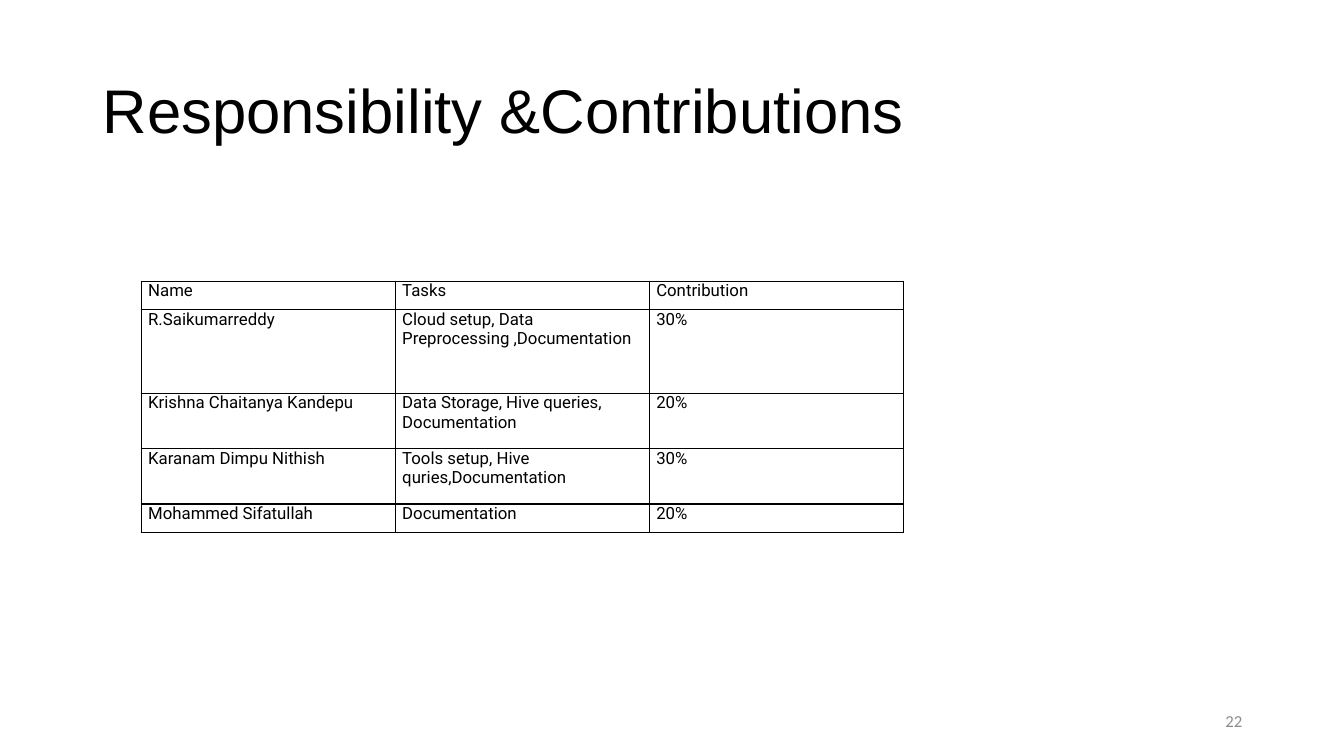
from dataclasses import dataclass

from lxml import etree
from pptx import Presentation
from pptx.dml.color import RGBColor
from pptx.enum.text import MSO_ANCHOR, PP_ALIGN
from pptx.oxml.ns import qn
from pptx.slide import Slide
from pptx.table import _Cell
from pptx.text.text import _Paragraph
from pptx.util import Inches, Pt

BLACK = RGBColor(0x00, 0x00, 0x00)
GRAY = RGBColor(0x8C, 0x8C, 0x8C)
LEFT, RIGHT = PP_ALIGN.LEFT, PP_ALIGN.RIGHT
MIDDLE = MSO_ANCHOR.MIDDLE

BORDER_WIDTH = Pt(1)
COLUMN_WIDTH = 2.52
CELL_MARGIN = 0.07


@dataclass
class Label:
    text: str
    left: float
    top: float
    width: float
    height: float
    font: str
    size: int
    color: RGBColor
    alignment: PP_ALIGN = LEFT
    line_spacing: float = 1.0


@dataclass
class TableRow:
    height: float
    name: str
    tasks: str
    contribution: str


LABELS = [
    Label("Responsibility &Contributions", 0.92, 0.4, 11.5, 1.45,
          "Arial", 44, BLACK, line_spacing=0.9),
    Label("22", 9.42, 6.95, 3, 0.4, "Calibri", 12, GRAY, RIGHT),
]

ROWS = [
    TableRow(0.28, "Name", "Tasks", "Contribution"),
    TableRow(0.83, "R.Saikumarreddy",
             "Cloud setup, Data Preprocessing ,Documentation", "30%"),
    TableRow(0.55, "Krishna Chaitanya Kandepu",
             "Data Storage, Hive queries, Documentation", "20%"),
    TableRow(0.55, "Karanam Dimpu Nithish",
             "Tools setup, Hive quries,Documentation", "30%"),
    TableRow(0.28, "Mohammed Sifatullah", "Documentation", "20%"),
]


def format_runs(paragraph: _Paragraph, font: str, size: int, color: RGBColor) -> None:
    for run in paragraph.runs:
        run.font.name = font
        run.font.size = Pt(size)
        run.font.bold = False
        run.font.color.rgb = color


def add_label(slide: Slide, label: Label) -> None:
    shape = slide.shapes.add_textbox(Inches(label.left), Inches(label.top),
                                     Inches(label.width), Inches(label.height))
    text_frame = shape.text_frame
    text_frame.word_wrap = True
    text_frame.vertical_anchor = MIDDLE
    text_frame.text = label.text
    paragraph = text_frame.paragraphs[0]
    paragraph.alignment = label.alignment
    paragraph.line_spacing = label.line_spacing
    format_runs(paragraph, label.font, label.size, label.color)


def add_borders(cell: _Cell) -> None:
    properties = cell._tc.get_or_add_tcPr()
    for side in ("a:lnL", "a:lnR", "a:lnT", "a:lnB"):
        line = etree.SubElement(properties, qn(side), w=str(BORDER_WIDTH))
        fill = etree.SubElement(line, qn("a:solidFill"))
        etree.SubElement(fill, qn("a:srgbClr"), val=str(BLACK))


def fill_cell(cell: _Cell, text: str) -> None:
    cell.margin_left = cell.margin_right = Inches(CELL_MARGIN)
    cell.margin_top = cell.margin_bottom = 0
    add_borders(cell)
    cell.fill.background()
    cell.text_frame.text = text
    format_runs(cell.text_frame.paragraphs[0], "Roboto", 12, BLACK)


def add_contribution_table(slide: Slide, rows: list[TableRow]) -> None:
    height = sum(row.height for row in rows)
    table = slide.shapes.add_table(len(rows), 3, Inches(1.4), Inches(2.79),
                                   Inches(3 * COLUMN_WIDTH), Inches(height)).table
    table.first_row = False
    table.horz_banding = False
    for column in table.columns:
        column.width = Inches(COLUMN_WIDTH)
    for table_row, row in zip(table.rows, rows):
        table_row.height = Inches(row.height)
        for cell, text in zip(table_row.cells, (row.name, row.tasks, row.contribution)):
            fill_cell(cell, text)


def main() -> None:
    presentation = Presentation()
    presentation.slide_width = Inches(13.33)
    presentation.slide_height = Inches(7.5)
    slide = presentation.slides.add_slide(presentation.slide_layouts[6])
    for label in LABELS:
        add_label(slide, label)
    add_contribution_table(slide, ROWS)
    presentation.save("out.pptx")


if __name__ == "__main__":
    main()
